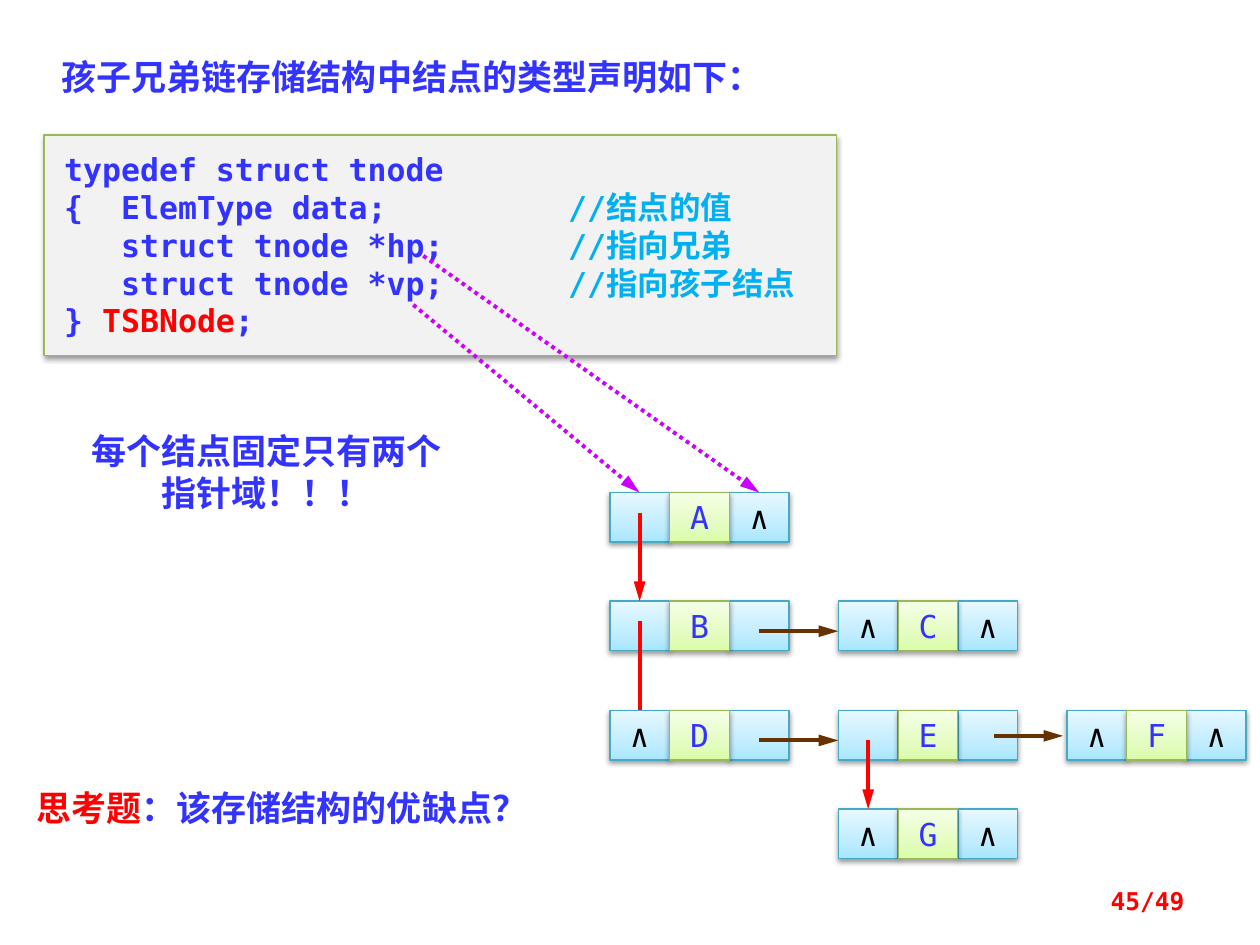
from dataclasses import dataclass
from typing import Optional

from lxml import etree
from copy import deepcopy
from pptx import Presentation
from pptx import util as u
from pptx.dml.color import RGBColor
from pptx.enum import dml, shapes, text
from pptx.oxml import ns

MONO, SERIF, CJK = "DejaVu Sans Mono", "Times New Roman", "Noto Sans CJK SC"
BLUE, RED, CYAN, BLACK = "3333FF", "FF0000", "00B0F0", "000000"
BROWN, PURPLE = "663300", "CC00FF"
NIL = "∧"
CELL_W, CELL_H, CELL_STEP = 34, 28.3, 34.2
COLUMNS = [348.5 + 130.6 * column for column in range(3)]
ROWS = [281.5, 343.5, 406, 462.3]


@dataclass(frozen=True)
class Span:
    words: str
    color: str = BLUE
    font: str = MONO
    bold: bool = True


@dataclass(frozen=True)
class CellStyle:
    stops: tuple[str, str, str]
    border: str


@dataclass(frozen=True)
class Node:
    letter: str
    column: int
    row: int
    child: str = NIL
    sibling: str = NIL


@dataclass(frozen=True)
class Link:
    start: tuple[float, float]
    end: tuple[float, float]
    color: str
    target: Optional[tuple[str, str]] = None
    arrow: bool = True
    dotted: bool = False


POINTER = CellStyle(("A7E6FF", "C1EDFF", "E7F8FF"), "46AAC5")
DATA = CellStyle(("DAFDA7", "E4FCC2", "F5FFE7"), "98B955")

CODE = [
    [Span("typedef struct tnode")],
    [Span("{  ElemType data;\t"), Span("//结点的值", CYAN)],
    [Span("   struct tnode *hp;\t"), Span("//指向兄弟", CYAN)],
    [Span("   struct tnode *vp;\t"), Span("//指向孩子结点", CYAN)],
    [Span("} "), Span("TSBNode", RED), Span(";")],
]

NODES = [
    Node("A", 0, 0, child=""),
    Node("B", 0, 1, child="", sibling=""),
    Node("C", 1, 1),
    Node("D", 0, 2, sibling=""),
    Node("E", 1, 2, child="", sibling=""),
    Node("F", 2, 2),
    Node("G", 1, 3),
]

LINKS = [
    Link((365.5, 293), (365.5, 343.5), RED, ("B", "child")),
    Link((365.5, 355), (365.5, 406), RED, ("D", "child"), arrow=False),
    Link((496.1, 422.6), (496.1, 462.3), RED, ("G", "child")),
    Link((433.5, 360.7), (479, 360.7), BROWN),
    Link((433.5, 423.1), (479, 423.1), BROWN),
    Link((568, 420.5), (607.5, 420.5), BROWN),
    Link((236.2, 174.2), (365.5, 281.5), PURPLE, ("A", "child"), dotted=True),
    Link((241.9, 146.2), (433.9, 281.5), PURPLE, ("A", "sibling"), dotted=True),
]


def rgb(value: str) -> RGBColor:
    return RGBColor.from_string(value)


def add_span(paragraph, span: Span, size: float) -> None:
    run = paragraph.add_run()
    run.text = span.words
    run.font.size = u.Pt(size)
    run.font.name = span.font
    run.font.bold = span.bold
    run.font.color.rgb = rgb(span.color)
    east_asian = etree.SubElement(run.font._element, ns.qn("a:ea"))
    east_asian.set("typeface", CJK)


def write(frame, lines: list[list[Span]], size: float, align=text.PP_ALIGN.LEFT) -> None:
    for index, line in enumerate(lines):
        paragraph = frame.add_paragraph() if index else frame.paragraphs[0]
        paragraph.alignment = align
        paragraph.line_spacing = u.Pt(1.2 * size)
        for span in line:
            add_span(paragraph, span, size)


def add_label(slide, left: float, top: float, width: float, height: float,
              spans: list[Span], size: float = 20, align=text.PP_ALIGN.LEFT,
              anchor=text.MSO_ANCHOR.TOP) -> None:
    box = slide.shapes.add_textbox(u.Pt(left), u.Pt(top), u.Pt(width), u.Pt(height))
    box.text_frame.word_wrap = True
    box.text_frame.vertical_anchor = anchor
    write(box.text_frame, [spans], size, align)


def add_box(slide, left: float, top: float, width: float, height: float, border: str):
    box = slide.shapes.add_shape(shapes.MSO_SHAPE.RECTANGLE, u.Pt(left), u.Pt(top),
                                 u.Pt(width), u.Pt(height))
    box.line.color.rgb = rgb(border)
    box.line.width = u.Pt(0.75)
    box.shadow.inherit = False
    effects = box._element.spPr.find(ns.qn("a:effectLst"))
    shadow = etree.SubElement(effects, ns.qn("a:outerShdw"), blurRad=str(u.Pt(3.1)),
                              dist=str(u.Pt(1.6)), dir="5400000", rotWithShape="0")
    shade = etree.SubElement(shadow, ns.qn("a:srgbClr"), val=BLACK)
    etree.SubElement(shade, ns.qn("a:alpha"), val="38000")
    return box


def add_code(slide) -> None:
    panel = add_box(slide, 25.2, 77.2, 452.9, 126, DATA.border)
    panel.fill.solid()
    panel.fill.fore_color.rgb = rgb("F2F2F2")
    frame = panel.text_frame
    frame.word_wrap = True
    frame.vertical_anchor = text.MSO_ANCHOR.TOP
    frame.margin_left = frame.margin_right = u.Pt(11.5)
    frame.margin_top = frame.margin_bottom = u.Pt(8.6)
    write(frame, CODE, 18)
    for paragraph in frame.paragraphs:
        tabs = etree.SubElement(paragraph._p.get_or_add_pPr(), ns.qn("a:tabLst"))
        etree.SubElement(tabs, ns.qn("a:tab"), pos=str(u.Pt(288)), algn="l")


def add_cell(slide, left: float, top: float, style: CellStyle, words: str, color: str):
    cell = add_box(slide, left, top, CELL_W, CELL_H, style.border)
    cell.fill.gradient()
    cell.fill.gradient_angle = 90
    stop_list = cell._element.spPr.find(".//" + ns.qn("a:gsLst"))
    stop_list.append(deepcopy(stop_list[0]))
    for stop, position, value in zip(cell.fill.gradient_stops, (0, 0.35, 1), style.stops):
        stop.position = position
        stop.color.rgb = rgb(value)
    if words:
        cell.text_frame.word_wrap = False
        cell.text_frame.vertical_anchor = text.MSO_ANCHOR.MIDDLE
        write(cell.text_frame, [[Span(words, color, bold=False)]], 18, text.PP_ALIGN.CENTER)
    return cell


def add_node(slide, node: Node) -> dict:
    left, top = COLUMNS[node.column], ROWS[node.row]
    child = add_cell(slide, left, top, POINTER, node.child, BLACK)
    sibling = add_cell(slide, left + 2 * CELL_STEP, top, POINTER, node.sibling, BLACK)
    add_cell(slide, left + CELL_STEP, top, DATA, node.letter, BLUE)
    return {(node.letter, "child"): child, (node.letter, "sibling"): sibling}


def add_link(slide, link: Link, cells: dict) -> None:
    points = [u.Pt(value) for value in link.start + link.end]
    line = slide.shapes.add_connector(shapes.MSO_CONNECTOR.STRAIGHT, *points)
    if link.target:
        line.end_connect(cells[link.target], 0)
    line.line.color.rgb = rgb(link.color)
    line.line.width = u.Pt(2.25)
    if link.dotted:
        line.line.dash_style = dml.MSO_LINE.ROUND_DOT
    if link.arrow:
        etree.SubElement(line.line._get_or_add_ln(), ns.qn("a:tailEnd"),
                         type="triangle", w="med", len="lg")
    etree.SubElement(line._element.spPr, ns.qn("a:effectLst"))


def main() -> None:
    deck = Presentation()
    deck.slide_width, deck.slide_height = u.Pt(720), u.Pt(540)
    slide = deck.slides.add_slide(deck.slide_layouts[6])
    add_code(slide)
    add_label(slide, 13.7, 445.7, 368.6, 31.7, [
        Span("思考题", RED, CJK), Span("：", BLUE, CJK), Span("该存储结构的优缺点？", BLUE, SERIF)])
    add_label(slide, 28.1, 28.1, 503.3, 31.7,
              [Span("孩子兄弟链存储结构中结点的类型声明如下：", BLUE, SERIF)])
    add_label(slide, 44.6, 241.9, 215.3, 55.4,
              [Span("每个结点固定只有两个指针域！！！")], align=text.PP_ALIGN.CENTER)
    cells = {}
    for node in NODES:
        cells.update(add_node(slide, node))
    for link in LINKS:
        add_link(slide, link, cells)
    add_label(slide, 516.2, 500.4, 167.8, 28.8, [Span("45/49", RED)], 14,
              text.PP_ALIGN.RIGHT, text.MSO_ANCHOR.MIDDLE)
    deck.save("out.pptx")


if __name__ == "__main__":
    main()
